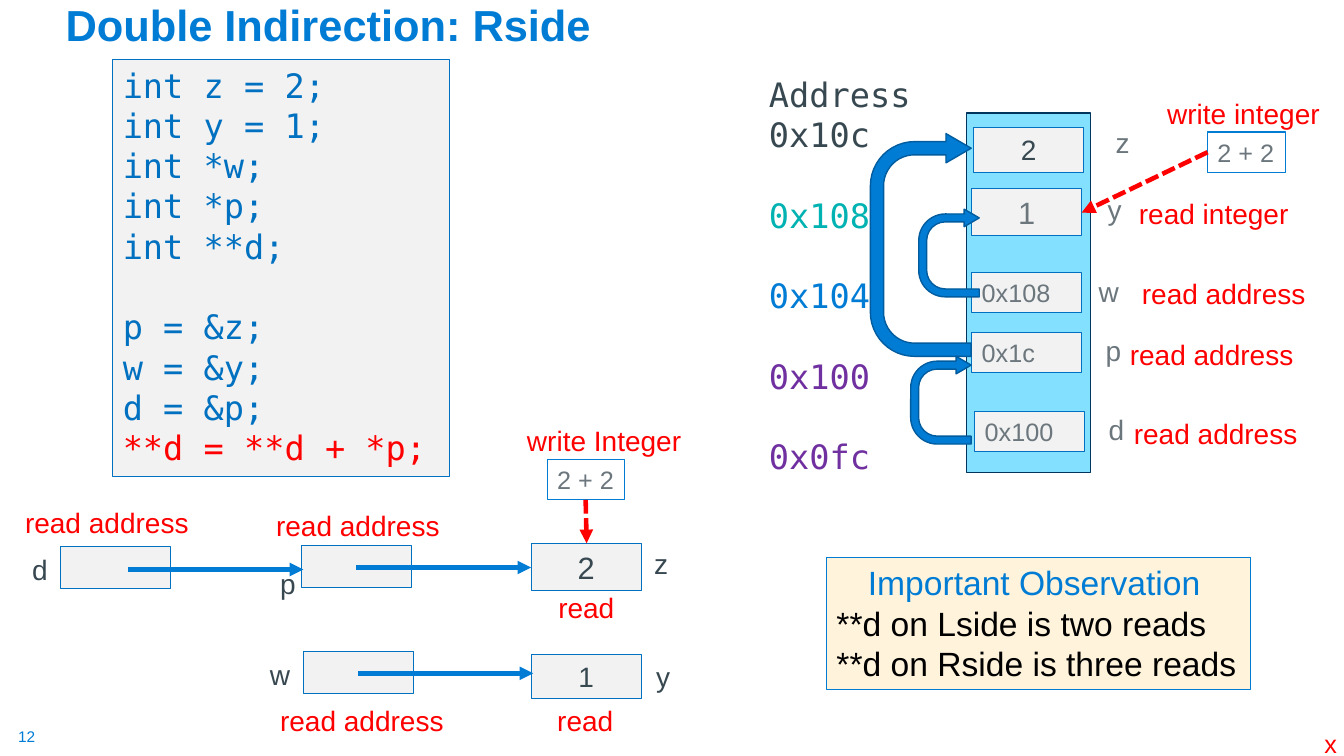
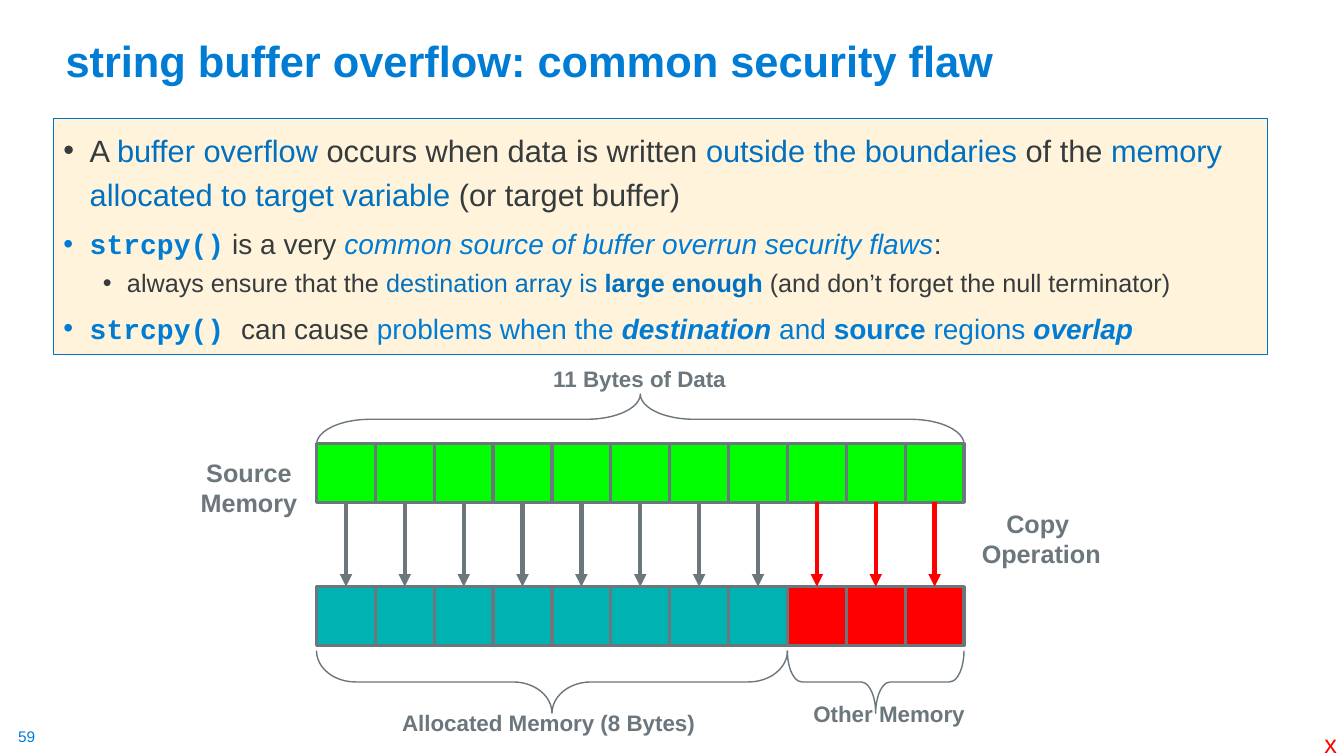
from dataclasses import dataclass, field

from pptx import Presentation
from pptx.dml.color import RGBColor
from pptx.enum.dml import MSO_LINE
from pptx.enum.shapes import MSO_CONNECTOR, MSO_SHAPE
from pptx.enum.text import MSO_ANCHOR, MSO_AUTO_SIZE, PP_ALIGN
from pptx.oxml.ns import qn
from pptx.util import Inches, Pt
from lxml import etree

RECT, BRACE, U_TURN = MSO_SHAPE.RECTANGLE, MSO_SHAPE.LEFT_BRACE, MSO_SHAPE.U_TURN_ARROW
STRAIGHT, DASHED = MSO_CONNECTOR.STRAIGHT, MSO_LINE.SQUARE_DOT
TOP, BOTTOM = MSO_ANCHOR.TOP, MSO_ANCHOR.BOTTOM
LEFT, CENTER = PP_ALIGN.LEFT, PP_ALIGN.CENTER
FIXED, GROW = MSO_AUTO_SIZE.NONE, MSO_AUTO_SIZE.SHAPE_TO_FIT_TEXT

# Every position and size is counted in grid columns and rows of this width.
GRID = Inches(0.1)
COLUMNS, ROWS = 133.33, 75
TITLE_ONLY, TITLE_AND_BODY = 5, 1

COLORS = {
    "blue": "007CD5", "code": "0070C0", "deep": "005C9E", "navy": "00365D",
    "sky": "83E1FF", "teal": "00B2B1", "green": "00FF00", "red": "FF0000",
    "purple": "7030A0", "cream": "FFF4DB", "pale": "F2F2F2", "slate": "384851",
    "grey": "6B767D", "ink": "363B3E", "black": "000000",
}


def color(name):
    return RGBColor.from_string(COLORS[name])


def grid(*counts):
    return [round(GRID * count) for count in counts]


def assign(target, values):
    for name, value in values.items():
        setattr(target, name, value)


def style(size, tint, name="Arial", **more):
    return {"size": Pt(size), "tint": tint, "name": name, **more}


@dataclass
class Line:
    """One paragraph: runs of (text, style), its format, and a bullet indent."""
    runs: list
    format: dict = field(default_factory=dict)
    indent: tuple = ()


def plain(text, look, **layout):
    return [Line([(row, look)], dict(layout)) for row in text.split("\n")]


class Deck:
    def __init__(self):
        self.show = Presentation()
        self.show.slide_width, self.show.slide_height = grid(COLUMNS, ROWS)
        self.slide = None

    def start(self, layout, title, number, title_at):
        self.slide = self.show.slides.add_slide(self.show.slide_layouts[layout])
        heading = self.slide.shapes.title
        self.place(heading, title_at)
        self.set_lines(heading, plain(title, style(31, "blue", bold=True),
                                      alignment=LEFT, line_spacing=0.9),
                       vertical_anchor=BOTTOM, auto_size=FIXED)
        self.text((1.8, 72.1, 1.9, 1.9), plain(number, style(11, "blue")),
                  margin_left=0, margin_right=0, margin_top=0, margin_bottom=0)
        self.text((130.4, 71.8, 3.3, 4), plain("x", style(18, "red")))

    def place(self, shape, at):
        assign(shape, dict(zip(("left", "top", "width", "height"), grid(*at))))

    def paint(self, shape, fill, line, weight):
        if fill:
            shape.fill.solid()
            shape.fill.fore_color.rgb = color(fill)
        else:
            shape.fill.background()
        shape.line.color.rgb = color(line)
        shape.line.width = Pt(weight)

    def set_lines(self, shape, lines, **frame_format):
        frame = shape.text_frame
        assign(frame, frame_format)
        for index, line in enumerate(lines):
            paragraph = frame.paragraphs[0] if index == 0 else frame.add_paragraph()
            assign(paragraph, line.format)
            if line.indent:
                self.bullet(paragraph, *line.indent)
            for words, look in line.runs:
                run = paragraph.add_run()
                run.text = words
                run.font.color.rgb = color(look["tint"])
                assign(run.font, {k: v for k, v in look.items() if k != "tint"})

    def bullet(self, paragraph, margin, hang):
        props = paragraph._p.get_or_add_pPr()
        left, first = grid(margin, -hang)
        props.set("marL", str(left))
        props.set("indent", str(first))
        etree.SubElement(props, qn("a:buFont")).set("typeface", "Arial")
        etree.SubElement(props, qn("a:buChar")).set("char", "•")

    def text(self, at, lines, **frame_format):
        holder = self.slide.shapes.add_textbox(*grid(*at))
        self.set_lines(holder, lines,
                       **{"word_wrap": False, "auto_size": GROW, **frame_format})

    def box(self, at, lines=(), fill="pale", line="code", weight=0.75, wrap=True, kind=RECT):
        shape = self.slide.shapes.add_shape(kind, *grid(*at))
        shape.shadow.inherit = False
        self.paint(shape, fill, line, weight)
        if lines:
            for entry in lines:
                entry.format.setdefault("alignment", LEFT)
            self.set_lines(shape, lines, vertical_anchor=TOP, word_wrap=wrap, auto_size=GROW)
        return shape

    def turned(self, kind, seen, angle, adjustments, **look):
        """Add a shape turned by a quarter so that it fills the seen area."""
        left, top, width, height = seen
        shift = (width - height) / 2
        shape = self.box((left + shift, top - shift, height, width), kind=kind, **look)
        shape.rotation = angle
        for index, value in enumerate(adjustments):
            shape.adjustments[index] = value

    def arrow(self, start, end, tint="blue", weight=3.25, dash=None):
        link = self.slide.shapes.add_connector(STRAIGHT, *grid(*start, *end))
        link.line.color.rgb = color(tint)
        link.line.width = Pt(weight)
        if dash:
            link.line.dash_style = dash
        props = link._element.spPr
        etree.SubElement(props.find(qn("a:ln")), qn("a:tailEnd")).set("type", "triangle")
        etree.SubElement(props, qn("a:effectLst"))


LABEL_WIDTHS = {
    "w": 4.1, "p": 3.6, "d": 3.6, "y": 3.4, "z": 3.4, "read": 7.6,
    "read address": 18.4, "read integer": 17,
    "write integer": 17.3, "write Integer": 17.4,
}


def labels(deck, tint, entries):
    for name, left, top in entries:
        deck.text((left, top, LABEL_WIDTHS[name], 4.4), plain(name, style(20, tint)))


def sum_box(deck, left, top):
    deck.box((left, top, 7.7, 4), plain("2 + 2", style(18, "grey")),
             fill=None, line="blue", wrap=False)


def mono_lines(rows):
    """Turn rows of (text, tint, blank lines above) into code paragraphs."""
    return [Line([(words, style(24, tint, "DejaVu Sans Mono"))],
                 {"space_before": Pt(28.8 * blank)}) for words, tint, blank in rows]


def pointer_chains(deck):
    for left, top in ((29.9, 54.1), (30.1, 64.6), (6, 54.2)):
        deck.box((left, top, 10.9, 4.2))
    for value, top, height, size in (("2", 53.9, 4.7, 22), ("1", 64.9, 4.4, 20)):
        deck.box((52.7, top, 10.9, height),
                 plain(value, style(size, "slate"), alignment=CENTER))
    for left, row in ((35.3, 56.3), (35.5, 66.8), (12.7, 56.5)):
        deck.arrow((left, row), (left + 17.4, row))
    labels(deck, "slate", [("w", 25.8, 64.7), ("y", 64.1, 64.9), ("z", 63.9, 53.7),
                           ("p", 26.8, 55.7), ("d", 2.2, 54.3)])
    labels(deck, "red", [("read address", 26.4, 50), ("read address", 26.8, 69.3),
                         ("read address", 1.5, 49.7), ("read", 54.3, 69.3),
                         ("read", 54.4, 58.1), ("write Integer", 51.3, 41.5)])
    sum_box(deck, 54.3, 45.6)
    deck.arrow((58.1, 49.6), (58.2, 53.9), "red", dash=DASHED)


def memory_column(deck):
    deck.box((95.9, 11.2, 12.3, 35.7), fill="sky", line="navy", weight=1)
    for value, left, top, height, size, tint, align in (
            ("2", 96.6, 12.7, 4.4, 20, "slate", CENTER),
            ("1", 96.4, 18.7, 4.7, 22, "grey", CENTER),
            ("0x108", 96.4, 27, 4, 18, "grey", LEFT),
            ("0x1c", 96.4, 33, 4, 18, "grey", LEFT),
            ("0x100", 96.7, 40.8, 4, 18, "grey", LEFT)):
        deck.box((left, top, 10.9, height),
                 plain(value, style(size, tint), alignment=align))
    for seen in ((91.15, 20.75, 6, 8.7), (86.35, 13.25, 10, 22.1), (90.35, 35.35, 6, 8.7)):
        deck.turned(U_TURN, seen, 270, (0.131, 0.145, 0.25, 0.438, 1),
                    fill="blue", line="deep", weight=1)
    deck.text((75.3, 6.8, 16.9, 41.4), mono_lines([
        ("Address", "slate", 0), ("0x10c", "slate", 0), ("0x108", "teal", 1),
        ("0x104", "blue", 1), ("0x100", "purple", 1), ("0x0fc", "purple", 1)]))
    labels(deck, "grey", [("z", 109.7, 12), ("y", 108.9, 18.6), ("w", 108, 26.7),
                          ("p", 108.7, 32.6), ("d", 109, 40.4)])
    labels(deck, "red", [("write integer", 114.8, 9.1), ("read integer", 112, 19),
                         ("read address", 112.3, 26.9), ("read address", 111.1, 33),
                         ("read address", 111.5, 40.8)])
    sum_box(deck, 119.8, 13.1)
    deck.arrow((119.8, 15.1), (107.3, 21.1), "red", dash=DASHED)


def indirection_slide(deck):
    deck.start(TITLE_ONLY, "Double Indirection: Rside", "12", (5.5, 1.3, 120.2, 4.3))
    deck.box((11.2, 5.9, 33.4, 41.4), mono_lines([
        ("int z = 2;", "code", 0), ("int y = 1;", "code", 0), ("int *w;", "code", 0),
        ("int *p;", "code", 0), ("int **d;", "code", 0), ("p = &z;", "code", 1),
        ("w = &y;", "code", 0), ("d = &p;", "code", 0), ("**d = **d + *p;", "red", 0)]))
    pointer_chains(deck)
    memory_column(deck)
    observation = plain("Important Observation ", style(24, "blue"), alignment=CENTER)
    observation += plain("**d on Lside is two reads\n**d on Rside is three reads",
                         style(24, "black"))
    deck.box((82, 55.3, 42.1, 13.1), observation, fill="cream", line="blue", wrap=False)


def overflow_points(deck):
    body = deck.slide.placeholders[1]
    deck.place(body, (5.3, 11.8, 120.4, 23.4))
    deck.paint(body, "cream", "code", 0.75)
    lead, lead_key = style(22, "ink"), style(22, "code")
    note, key = style(20, "ink"), style(20, "blue")
    detail, detail_key = style(18, "ink"), style(18, "code")
    call = style(20, "blue", "Courier New", bold=True)
    strong = {**key, "bold": True}
    strong_slant = {**strong, "italic": True}
    point = {"space_before": Pt(10), "line_spacing": 1.0}
    deck.set_lines(body, [
        Line([("A ", lead), ("buffer overflow ", lead_key),
              ("occurs when data is written ", lead),
              ("outside the boundaries ", lead_key), ("of the ", lead),
              ("memory allocated to target variable ", lead_key),
              ("(or target buffer)", lead)],
             {**point, "line_spacing": 1.2}, (2.6, 2.6)),
        Line([("strcpy()", call), (" is a very ", note),
              ("common source of buffer overrun security flaws", {**key, "italic": True}),
              (":", note)], point, (2.6, 2.6)),
        Line([("always ensure that the ", detail), ("destination array is ", detail_key),
              ("large enough ", {**detail_key, "bold": True}),
              ("(and don’t forget the null terminator)", detail)],
             {**point, "space_before": Pt(5), "level": 1}, (6.3, 2.4)),
        Line([("strcpy() ", call), ("can cause ", note), ("problems when the ", key),
              ("destination", strong_slant), (" and ", key), ("source", strong),
              (" regions ", key), ("overlap", strong_slant)], point, (2.6, 2.6)),
    ], auto_size=FIXED, vertical_anchor=TOP)


def byte_copy(deck):
    first, byte, total, allocated = 31.4, 5.84, 11, 8
    source_top, target_top = 44, 58.2
    for index in range(total):
        left, fits = first + index * byte, index < allocated
        for top, fill in ((target_top, "teal" if fits else "red"), (source_top, "green")):
            deck.box((left, top, byte, byte), fill=fill, line="grey", weight=2.25)
        middle = left + byte / 2
        deck.arrow((middle, source_top + byte), (middle, target_top),
                   "grey" if fits else "red", 3)
    for start, count, top, depth, angle, bend in (
            (allocated, total - allocated, 64.55, 6.2, 270, 0.233),
            (0, allocated, 64.55, 6.2, 270, 0.622),
            (0, total, 39.1, 5, 90, 1.069)):
        deck.turned(BRACE, (first + start * byte, top, count * byte, depth), angle,
                    (bend, 0.5), fill=None, line="grey", weight=1)
    for caption, at, size, align in (
            ("Source\nMemory", (18.9, 44.9, 11.6, 7), 18, CENTER),
            ("Copy \nOperation", (96.4, 49.9, 13.8, 7), 18, CENTER),
            ("Allocated Memory (8 Bytes)", (38.9, 69.9, 31.2, 3.7), 16, LEFT),
            ("11 Bytes of Data", (53.9, 35.7, 19.3, 3.7), 16, LEFT),
            ("Other Memory", (79.7, 69, 17.1, 3.7), 16, LEFT)):
        deck.text(at, plain(caption, style(size, "grey", bold=True), alignment=align))


def overflow_slide(deck):
    deck.start(TITLE_AND_BODY, "string buffer overflow: common security flaw", "59",
               (5.5, 1.3, 115, 7.8))
    overflow_points(deck)
    byte_copy(deck)


def main():
    deck = Deck()
    indirection_slide(deck)
    overflow_slide(deck)
    deck.show.save("out.pptx")


if __name__ == "__main__":
    main()
